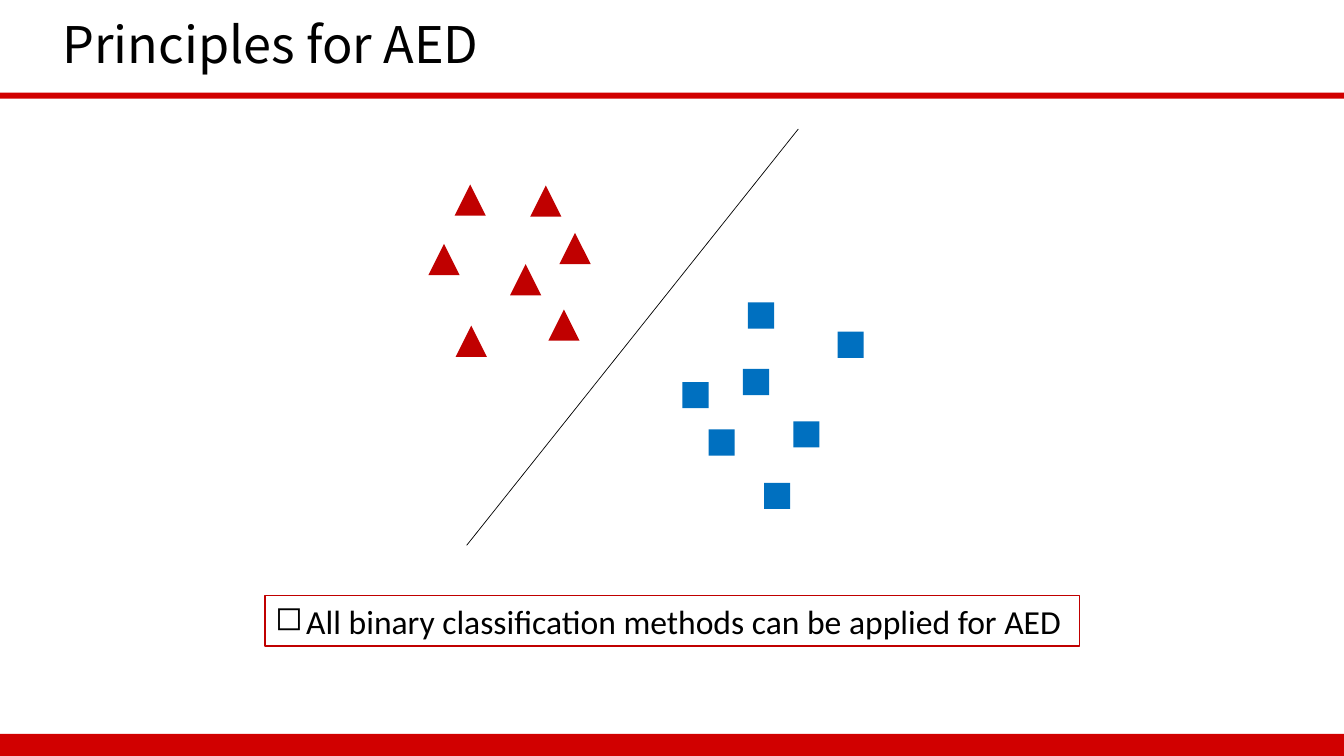
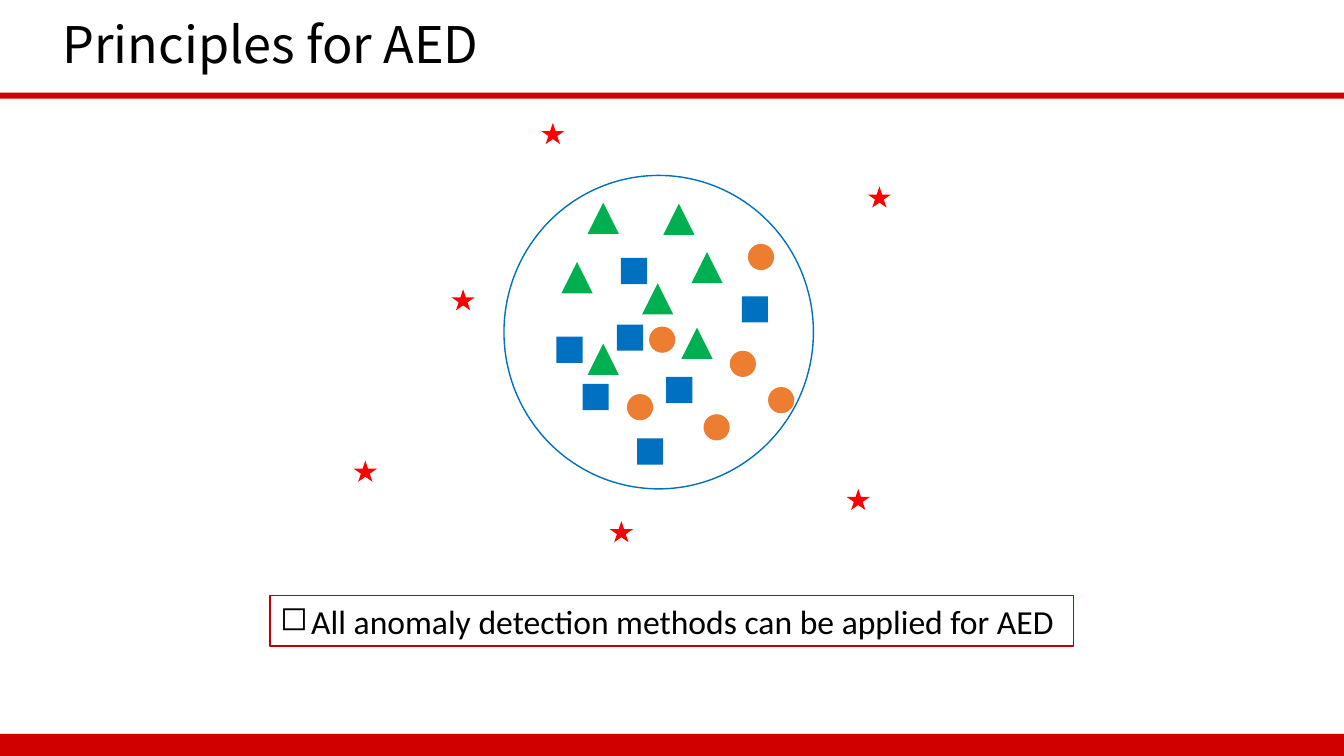
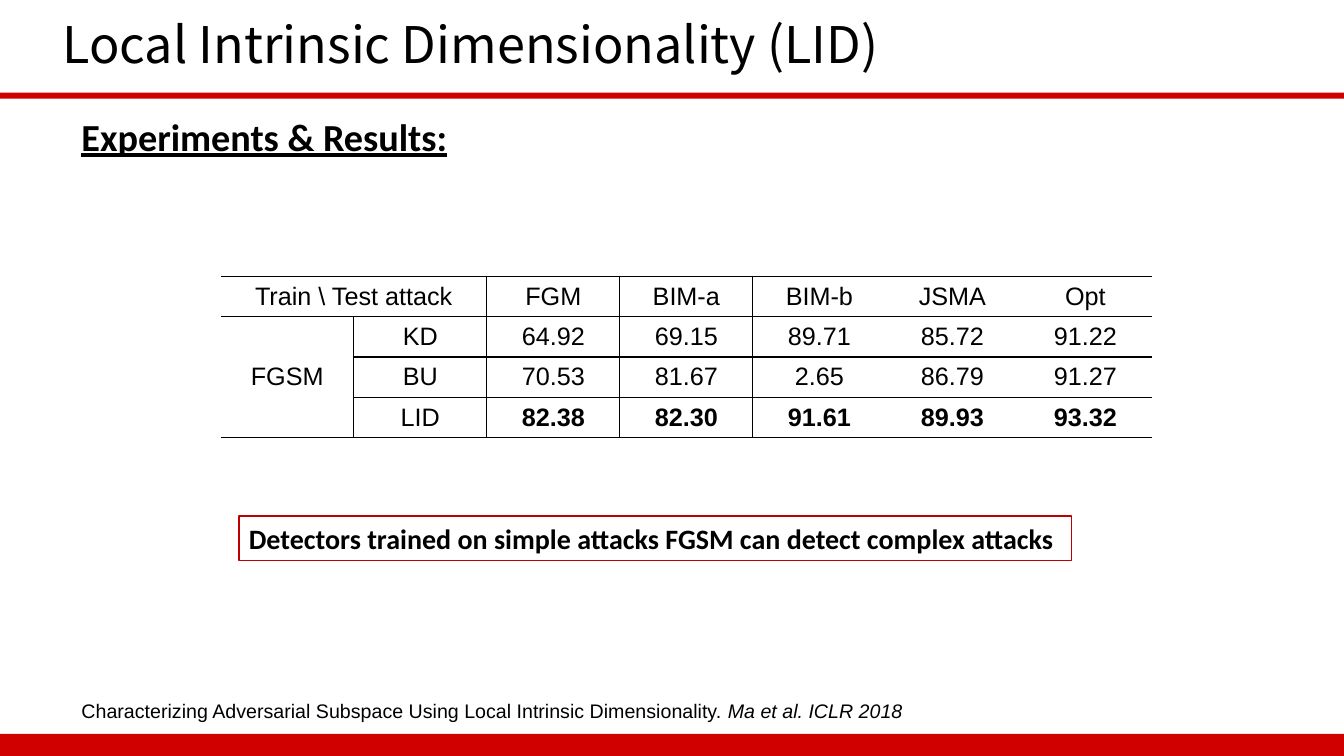
from dataclasses import dataclass

from lxml.etree import SubElement
from pptx import Presentation
from pptx.dml.color import RGBColor
from pptx.enum.shapes import MSO_CONNECTOR, MSO_SHAPE
from pptx.enum.text import MSO_ANCHOR, MSO_AUTO_SIZE, PP_ALIGN
from pptx.oxml.ns import qn
from pptx.util import Pt

EMU_PER_PX = 9144  # 100 px to the inch
PLAIN_TABLE_STYLE = "{2D5ABB26-0587-4C30-8999-92F81FD0307C}"


@dataclass(frozen=True)
class Theme:
    band: str = "D10000"
    ink: str = "000000"
    dark_red: str = "C00000"
    blue: str = "0070C0"
    green: str = "00B050"
    orange: str = "ED7D31"
    bright_red: str = "FF0000"
    title_font: str = "Noto Sans CJK SC"
    body_font: str = "Calibri"
    data_font: str = "Arial"
    title_size: float = 36
    heading_size: float = 27.3
    callout_size: float = 24
    finding_size: float = 20
    table_size: float = 18
    citation_size: float = 14


THEME = Theme()


def px(*lengths):
    return [round(length * EMU_PER_PX) for length in lengths]


def rgb(color):
    return RGBColor.from_string(color)


def write(frame, *runs, size, font, bold=None, underline=None, spacing=None,
          align=PP_ALIGN.LEFT, anchor=MSO_ANCHOR.MIDDLE, bullet=None):
    """Fill a frame with one paragraph; a run is a string or (string, italic)."""
    frame.vertical_anchor = anchor
    paragraph = frame.paragraphs[0]
    paragraph.alignment = align
    if spacing:
        paragraph.line_spacing = spacing
    if bullet:
        properties = paragraph._p.get_or_add_pPr()
        indent, = px(31)
        properties.set("marL", str(indent))
        properties.set("indent", str(-indent))
        SubElement(properties, qn("a:buChar")).set("char", bullet)
    for part in runs:
        words, italic = (part, None) if isinstance(part, str) else part
        run = paragraph.add_run()
        run.text = words
        run.font.size = Pt(size)
        run.font.name = font
        run.font.bold = bold
        run.font.italic = italic
        run.font.underline = underline
        run.font.color.rgb = rgb(THEME.ink)


def rule_cell(cell, sides):
    """Draw thin lines on the given sides, a string out of L, R, T and B."""
    properties = cell._tc.get_or_add_tcPr()
    for position, side in enumerate(sides):
        line = SubElement(properties, qn(f"a:ln{side}"), w=str(Pt(1)))
        fill = SubElement(line, qn("a:solidFill"))
        SubElement(fill, qn("a:srgbClr"), val=THEME.ink)
        properties.insert(position, line)


class Deck:
    def __init__(self):
        self.file = Presentation()
        self.file.slide_width, self.file.slide_height = px(1333.33, 750)
        self.layout = self.file.slide_layouts[5]
        self.slide = None

    def add_slide(self, title):
        first = self.slide is None
        self.slide = self.file.slides.add_slide(self.layout)
        if first:
            self.add_master_bands()
        heading = self.slide.shapes.title
        heading.left, heading.top, heading.width, heading.height = px(52, 15, 961, 63)
        heading.text_frame.auto_size = MSO_AUTO_SIZE.NONE
        write(heading.text_frame, title, size=THEME.title_size,
              font=THEME.title_font, spacing=0.9)

    def add_master_bands(self):
        """Draw the red bands once and move them to the back of the master."""
        tree = self.file.slide_master.shapes.element
        for number, (top, height) in enumerate([(728, 22), (92, 6)]):
            band = self.shape(MSO_SHAPE.RECTANGLE, 0, top, 1333.33, height,
                              fill=THEME.band)
            band.element.nvSpPr.cNvPr.id = 101 + number
            tree.insert(2 + number, band.element)

    def shape(self, kind, left, top, width, height, fill=None, line=None):
        shape = self.slide.shapes.add_shape(kind, *px(left, top, width, height))
        shape.shadow.inherit = False
        if fill:
            shape.fill.solid()
            shape.fill.fore_color.rgb = rgb(fill)
        else:
            shape.fill.background()
        if line:
            shape.line.color.rgb = rgb(line)
            shape.line.width = Pt(1)
        else:
            shape.line.fill.background()
        return shape

    def markers(self, kind, color, places, width=26, height=26):
        for left, top in places:
            self.shape(kind, left, top, width, height, fill=color)

    def triangles(self, color, places):
        self.markers(MSO_SHAPE.ISOSCELES_TRIANGLE, color, places, 31, 31)

    def line(self, start, end):
        line = self.slide.shapes.add_connector(
            MSO_CONNECTOR.STRAIGHT, *px(*start, *end))
        line.line.color.rgb = rgb(THEME.ink)
        line.line.width = Pt(0.5)
        SubElement(line.element.spPr, qn("a:effectLst"))

    def callout(self, words, left, top, width, height, **style):
        box = self.shape(MSO_SHAPE.RECTANGLE, left, top, width, height,
                         line=THEME.dark_red)
        box.text_frame.word_wrap = False
        box.text_frame.auto_size = MSO_AUTO_SIZE.SHAPE_TO_FIT_TEXT
        write(box.text_frame, words, font=THEME.body_font, **style)

    def text(self, *runs, at, **style):
        box = self.slide.shapes.add_textbox(*px(*at))
        box.text_frame.word_wrap = True
        write(box.text_frame, *runs, **style)

    def results_table(self, rows, left, top, column_width, row_height):
        """Draw scores: two label columns, a header row and a bold last row."""
        row_count, column_count = len(rows), len(rows[0])
        frame = self.slide.shapes.add_table(
            row_count, column_count,
            *px(left, top, column_width * column_count, row_height * row_count))
        next(frame.element.iter(qn("a:tableStyleId"))).text = PLAIN_TABLE_STYLE
        table = frame.table
        table.first_row = table.horz_banding = False
        table.cell(0, 0).merge(table.cell(0, 1))
        table.cell(1, 0).merge(table.cell(row_count - 1, 0))
        for r, row in enumerate(rows):
            for c, words in enumerate(row):
                cell = table.cell(r, c)
                cell.fill.background()
                sides = {"L": 1 <= c <= 3, "R": c <= 2,
                         "T": r < 2 or (r == 2 and c > 0), "B": r != 2}
                rule_cell(cell, [side for side, drawn in sides.items() if drawn])
                if words:
                    cell.vertical_anchor = MSO_ANCHOR.MIDDLE
                    write(cell.text_frame, words, size=THEME.table_size,
                          font=THEME.data_font, align=PP_ALIGN.CENTER,
                          anchor=None, bold=r == row_count - 1 and c > 1)


def classification_slide(deck):
    deck.add_slide("Principles for AED")
    deck.callout("All binary classification methods can be applied for AED",
                 263, 591, 808, 50, size=THEME.callout_size, bullet="◻")
    deck.triangles(THEME.dark_red, [
        (451, 183), (506, 262), (544, 307), (526, 184), (452, 323),
        (555, 231), (425, 242)])
    deck.line((792, 128), (463, 541))
    deck.markers(MSO_SHAPE.RECTANGLE, THEME.blue, [
        (742, 300), (737, 366), (677, 379), (831, 329), (758, 479),
        (787, 418), (703, 426)])


def anomaly_slide(deck):
    deck.add_slide("Principles for AED")
    deck.callout("All anomaly detection methods can be applied for AED",
                 268, 591, 797, 50, size=THEME.callout_size, bullet="◻")
    deck.triangles(THEME.green, [
        (583, 201), (637, 281), (676, 325), (658, 202), (583, 341),
        (686, 250), (557, 260)])
    deck.markers(MSO_SHAPE.RECTANGLE, THEME.blue, [
        (616, 256), (612, 322), (552, 334), (736, 294), (632, 435),
        (661, 374), (578, 381)])
    deck.shape(MSO_SHAPE.OVAL, 500, 174, 307, 311, line=THEME.blue)
    deck.markers(MSO_SHAPE.OVAL, THEME.orange, [
        (762, 384), (724, 348), (644, 324), (622, 391), (742, 242), (698, 411)])
    deck.markers(MSO_SHAPE.STAR_5_POINT, THEME.bright_red, [
        (351, 457), (537, 122), (861, 185), (840, 485), (605, 517), (448, 287)],
        23, 21)


def results_slide(deck):
    deck.add_slide("Local Intrinsic Dimensionality (LID)")
    deck.text("Characterizing Adversarial Subspace Using Local Intrinsic "
              "Dimensionality. ", ("Ma et al. ICLR 2018", True),
              at=(71, 688, 1072, 34), size=THEME.citation_size,
              font=THEME.data_font, anchor=MSO_ANCHOR.TOP)
    deck.text("Experiments & Results:", at=(71, 102, 1139, 72),
              size=THEME.heading_size, font=THEME.body_font,
              bold=True, underline=True, spacing=0.9)
    deck.results_table([
        ["Train \\ Test attack", "", "FGM", "BIM-a", "BIM-b", "JSMA", "Opt"],
        ["FGSM", "KD", "64.92", "69.15", "89.71", "85.72", "91.22"],
        ["", "BU", "70.53", "81.67", "2.65", "86.79", "91.27"],
        ["", "LID", "82.38", "82.30", "91.61", "89.93", "93.32"],
    ], left=219, top=274, column_width=132, row_height=40)
    deck.callout("Detectors trained on simple attacks FGSM can detect complex attacks",
                 237, 512, 826, 44, size=THEME.finding_size, bold=True)


def main():
    deck = Deck()
    classification_slide(deck)
    anomaly_slide(deck)
    results_slide(deck)
    deck.file.save("out.pptx")


if __name__ == "__main__":
    main()
